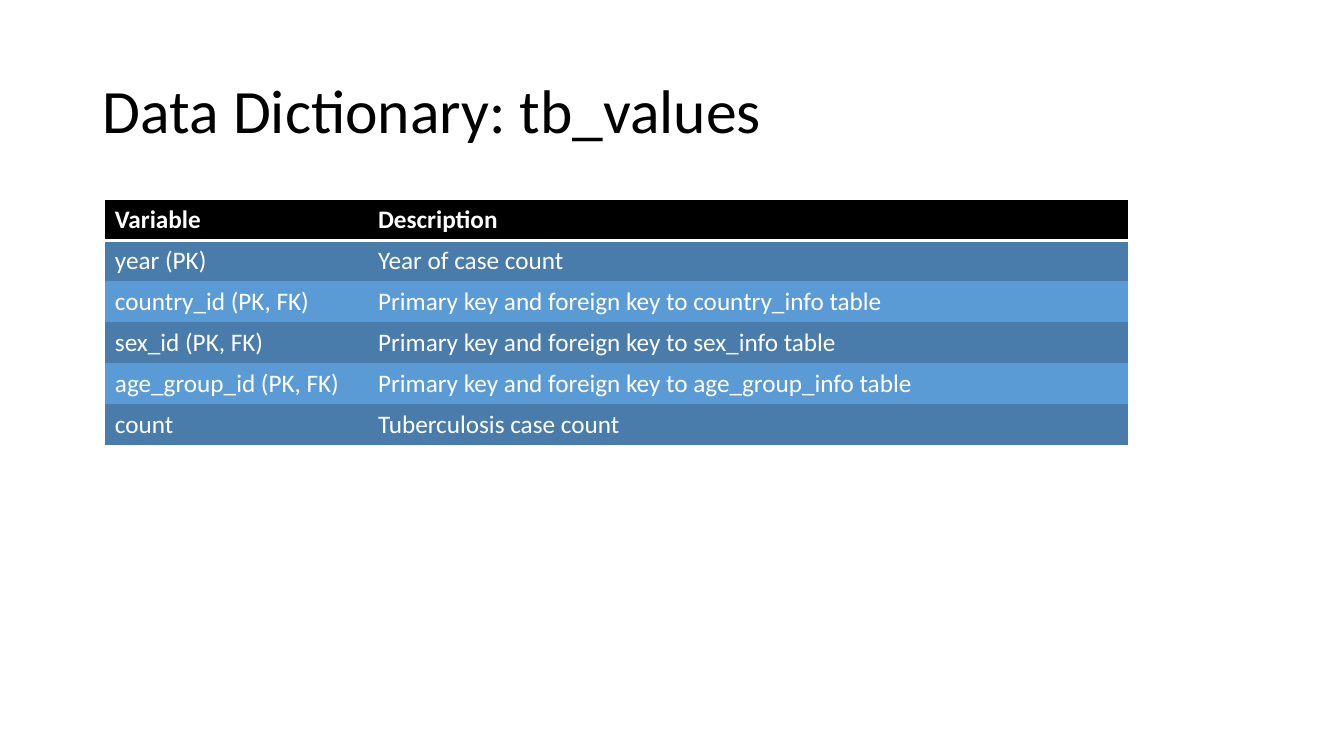
import pptx
import pptx.util
import pptx.dml.color
import pptx.enum.text
import pptx.oxml
import pptx.oxml.ns
import lxml.etree

Inches = pptx.util.Inches
RGBColor = pptx.dml.color.RGBColor
ANCHOR = pptx.enum.text.MSO_ANCHOR
ALIGN = pptx.enum.text.PP_ALIGN

BLACK = RGBColor(0x00, 0x00, 0x00)
WHITE = RGBColor(0xFF, 0xFF, 0xFF)
DARK = RGBColor(0x49, 0x7C, 0xAB)
LIGHT = RGBColor(0x5B, 0x9B, 0xD5)
PLAIN = "{2D5ABB26-0587-4C30-8999-92F81FD0307C}"

ROWS = [
    ("Variable", "Description"),
    ("year (PK)", "Year of case count"),
    ("country_id (PK, FK)", "Primary key and foreign key to country_info table"),
    ("sex_id (PK, FK)", "Primary key and foreign key to sex_info table"),
    ("age_group_id (PK, FK)", "Primary key and foreign key to age_group_info table"),
    ("count", "Tuberculosis case count"),
]


def write(frame, text, size=18, color=WHITE, bold=False, space=1.0):
    para = frame.paragraphs[0]
    para.alignment = ALIGN.LEFT
    para.line_spacing = space
    run = para.add_run()
    run.text = text
    run.font.name = "Calibri"
    run.font.size = pptx.util.Pt(size)
    run.font.bold = bold
    run.font.color.rgb = color


def rule(cell, side, color, width):
    line = pptx.oxml.parse_xml(
        f'<a:{side} {pptx.oxml.ns.nsdecls("a")} w="{pptx.util.Pt(width)}">'
        f'<a:solidFill><a:srgbClr val="{color}"/></a:solidFill></a:{side}>'
    )
    cell._tc.get_or_add_tcPr().insert(0, line)


def add_title(slide, text, left, top, width, height):
    title = slide.shapes.title
    title.left, title.top = Inches(left), Inches(top)
    title.width, title.height = Inches(width), Inches(height)
    frame = title.text_frame
    frame.word_wrap = True
    frame.vertical_anchor = ANCHOR.MIDDLE
    write(frame, text, size=44, color=BLACK, space=0.9)


def add_grid(slide, rows, left, top, width, height, first):
    frame = slide.shapes.add_table(
        len(rows), len(rows[0]),
        Inches(left), Inches(top), Inches(width), Inches(height),
    )
    table = frame.table
    table.horz_banding = False
    style = table._tbl.tblPr.find(pptx.oxml.ns.qn("a:tableStyleId"))
    style.text = PLAIN
    table.columns[0].width = Inches(first)
    table.columns[1].width = Inches(width - first)
    for i, row in enumerate(rows):
        head = i == 0
        fill = BLACK if head else DARK if i % 2 else LIGHT
        for j, text in enumerate(row):
            cell = table.cell(i, j)
            cell.fill.solid()
            cell.fill.fore_color.rgb = fill
            write(cell.text_frame, text, bold=head)
            if head:
                rule(cell, "lnB", WHITE, 2)


def main():
    deck = pptx.Presentation()
    deck.slide_width, deck.slide_height = Inches(13.33), Inches(7.5)
    slide = deck.slides.add_slide(deck.slide_layouts.get_by_name("Title Only"))
    add_title(slide, "Data Dictionary: tb_values", 0.92, 0.4, 11.5, 1.45)
    add_grid(slide, ROWS, 1.04, 1.98, 10.15, 2.43, first=2.61)
    deck.save("out.pptx")


if __name__ == "__main__":
    main()
